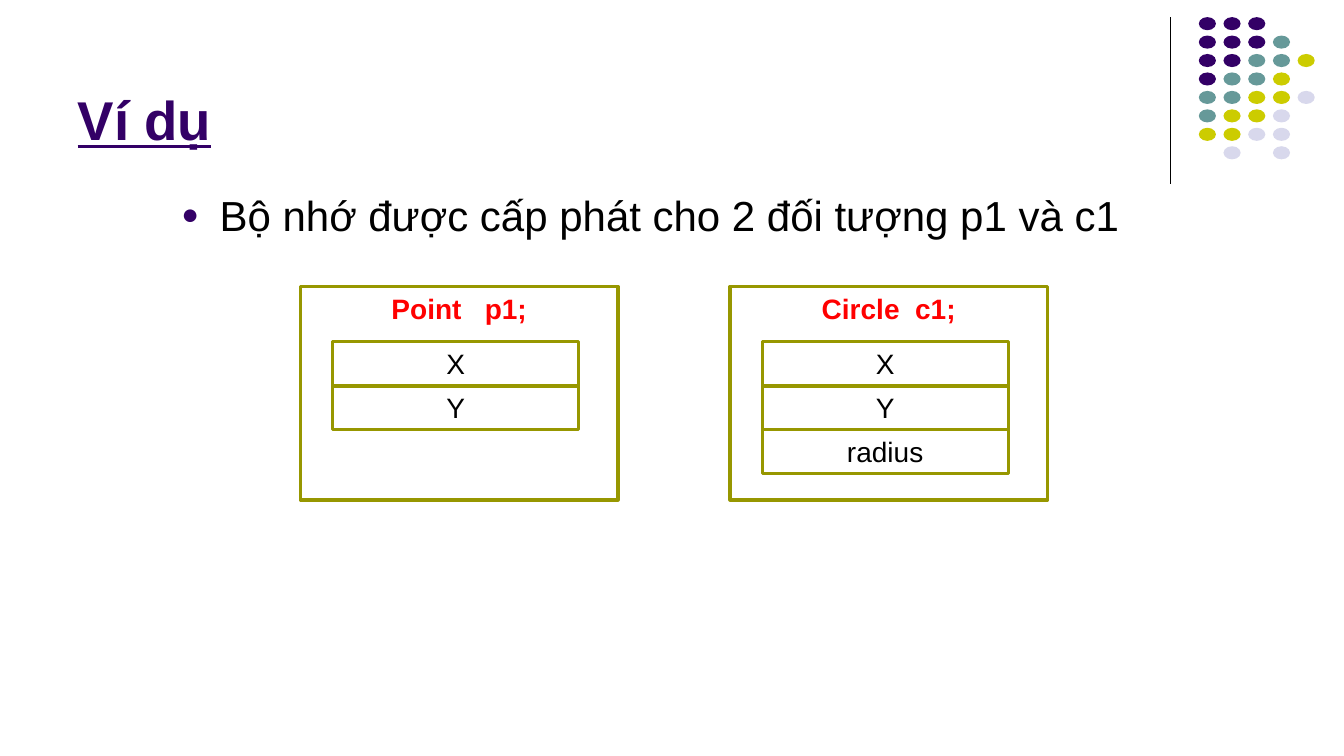
from dataclasses import dataclass

from lxml.etree import SubElement
from pptx import Presentation
from pptx.dml.color import RGBColor
from pptx.enum.shapes import MSO_CONNECTOR, MSO_SHAPE
from pptx.enum.text import MSO_ANCHOR, PP_ALIGN
from pptx.oxml.ns import qn
from pptx.util import Inches, Pt

PURPLE, OLIVE, BLACK, RED = "330066", "979700", "000000", "FF0000"
DOT_COLORS = {"P": PURPLE, "T": "669999", "Y": "CCCC00", "L": "D8D8EC"}
DOT_ROWS = ["PPP", "PPPT", "PPTTY", "PTTY", "TTYYL", "TYYL", "YYLL", " L L"]


@dataclass
class MemoryObject:
    declaration: str
    left: float
    fields: list[str]


MEMORY_OBJECTS = [
    MemoryObject("Point   p1;", 2.98, ["X", "Y"]),
    MemoryObject("Circle  c1;", 7.24, ["X", "Y", "radius"]),
]


def rgb(color: str) -> RGBColor:
    return RGBColor.from_string(color)


def write_text(shape, text: str, *, size: float, color: str = BLACK, bold: bool = False,
               underline: bool = False, align=PP_ALIGN.LEFT, anchor=MSO_ANCHOR.TOP,
               bullet_color: str | None = None) -> None:
    frame = shape.text_frame
    frame.word_wrap = True
    frame.vertical_anchor = anchor
    paragraph = frame.paragraphs[0]
    paragraph.text = text
    paragraph.alignment = align
    if bullet_color:
        add_bullet(paragraph, bullet_color)
    font = paragraph.runs[0].font
    font.name = "Arial"
    font.size = Pt(size)
    font.bold = bold
    font.underline = underline
    font.color.rgb = rgb(color)


def add_bullet(paragraph, color: str) -> None:
    properties = paragraph._p.get_or_add_pPr()
    properties.set("marL", str(Inches(0.38)))
    properties.set("indent", str(-Inches(0.38)))
    bullet_color = SubElement(properties, qn("a:buClr"))
    SubElement(bullet_color, qn("a:srgbClr"), val=color)
    SubElement(properties, qn("a:buSzPct"), val="70000")
    SubElement(properties, qn("a:buFont"), typeface="Arial")
    SubElement(properties, qn("a:buChar"), char="●")


def place(shape, left: float, top: float, width: float, height: float) -> None:
    shape.left, shape.top = Inches(left), Inches(top)
    shape.width, shape.height = Inches(width), Inches(height)


def add_dot(shapes, left: float, top: float, color: str) -> None:
    dot = shapes.add_shape(MSO_SHAPE.OVAL, Inches(left), Inches(top), Inches(0.17), Inches(0.13))
    dot.shadow.inherit = False
    dot.fill.solid()
    dot.fill.fore_color.rgb = rgb(color)
    dot.line.fill.background()


def add_box(shapes, left: float, top: float, width: float, height: float,
            text: str, **text_format) -> None:
    box = shapes.add_shape(MSO_SHAPE.RECTANGLE, Inches(left), Inches(top),
                           Inches(width), Inches(height))
    box.shadow.inherit = False
    box.fill.background()
    box.line.color.rgb = rgb(OLIVE)
    box.line.width = Pt(2.25)
    write_text(box, text, size=20, align=PP_ALIGN.CENTER, **text_format)


def add_memory_object(slide, memory_object: MemoryObject) -> None:
    shapes = slide.shapes.add_group_shape().shapes
    add_box(shapes, memory_object.left, 2.84, 3.15, 2.12,
            memory_object.declaration, color=RED, bold=True)
    for row, field in enumerate(memory_object.fields):
        add_box(shapes, memory_object.left + 0.32, 3.39 + row * 0.435, 2.44, 0.44, field)


def add_corner_decoration(slide) -> None:
    rule = slide.shapes.add_connector(MSO_CONNECTOR.STRAIGHT, Inches(11.61), Inches(0.17),
                                      Inches(11.61), Inches(1.83))
    rule.line.color.rgb = rgb(BLACK)
    rule.line.width = Pt(0.75)
    SubElement(rule._element.spPr, qn("a:effectLst"))
    dots = slide.shapes.add_group_shape().shapes
    for row, codes in enumerate(DOT_ROWS):
        for column, code in enumerate(codes):
            if code in DOT_COLORS:
                add_dot(dots, 11.89 + column * 0.245, 0.17 + row * 0.183, DOT_COLORS[code])


def main() -> None:
    presentation = Presentation()
    presentation.slide_width, presentation.slide_height = Inches(13.33), Inches(7.5)
    slide = presentation.slides.add_slide(presentation.slide_layouts[5])

    # Corner rule and dots
    add_corner_decoration(slide)

    # Title and statement
    title = slide.shapes.title
    place(title, 0.67, 0.13, 11, 1.42)
    write_text(title, "Ví dụ", size=39, color=PURPLE, bold=True, underline=True,
               anchor=MSO_ANCHOR.BOTTOM)
    statement = slide.shapes.add_textbox(Inches(1.7), Inches(1.78), Inches(9.96), Inches(0.93))
    statement.text_frame.margin_top = Inches(0.1)
    write_text(statement, "Bộ nhớ được cấp phát cho 2 đối tượng p1 và c1", size=30,
               bullet_color=PURPLE)

    # Memory layout of each object
    for memory_object in MEMORY_OBJECTS:
        add_memory_object(slide, memory_object)

    presentation.save("out.pptx")


if __name__ == "__main__":
    main()
